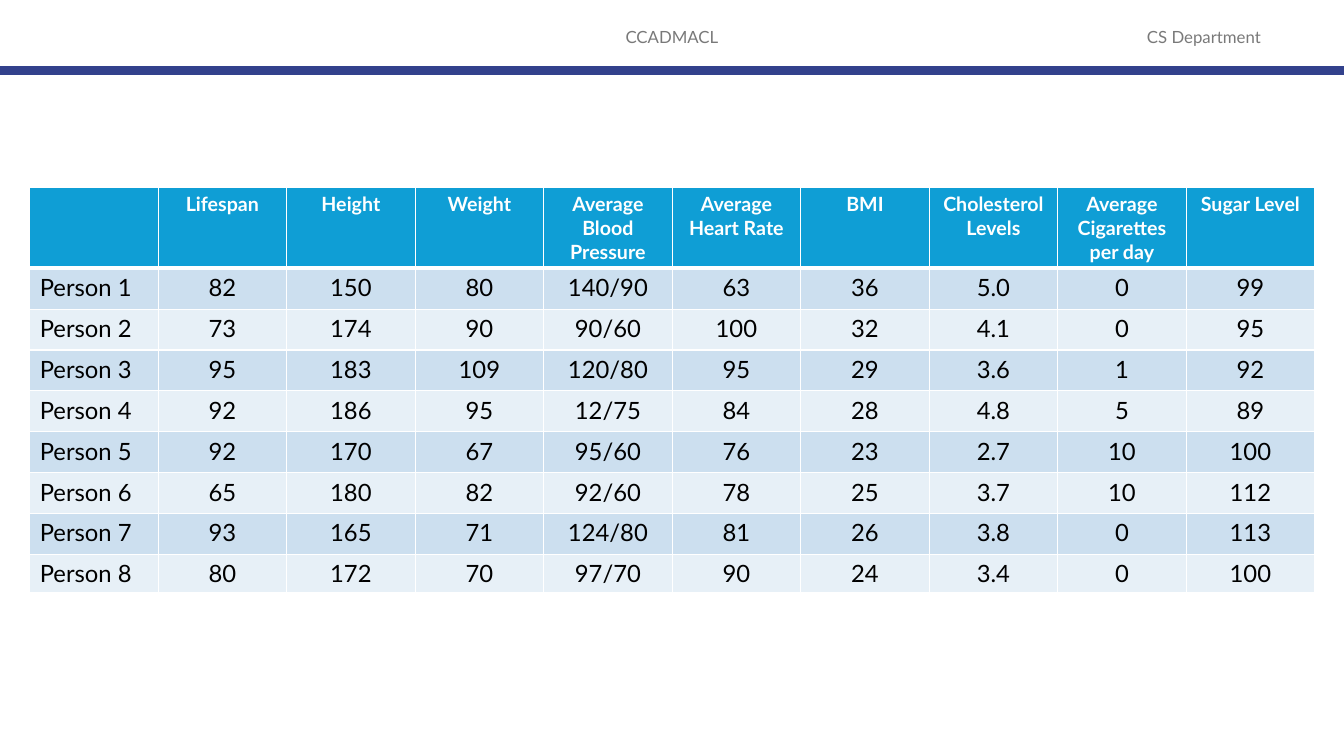
import pptx
import pptx.dml.color
import pptx.enum.shapes
import pptx.enum.text
import pptx.oxml
import pptx.oxml.ns
import pptx.util

Pt = pptx.util.Pt
ALIGN = pptx.enum.text.PP_ALIGN
FONT = "Lato"
HEADINGS = ["", "Lifespan", "Height", "Weight", "Average Blood Pressure",
            "Average Heart Rate", "BMI", "Cholesterol Levels",
            "Average Cigarettes per day", "Sugar Level"]
PEOPLE = [
    ["Person 1", "82", "150", "80", "140/90", "63", "36", "5.0", "0", "99"],
    ["Person 2", "73", "174", "90", "90/60", "100", "32", "4.1", "0", "95"],
    ["Person 3", "95", "183", "109", "120/80", "95", "29", "3.6", "1", "92"],
    ["Person 4", "92", "186", "95", "12/75", "84", "28", "4.8", "5", "89"],
    ["Person 5", "92", "170", "67", "95/60", "76", "23", "2.7", "10", "100"],
    ["Person 6", "65", "180", "82", "92/60", "78", "25", "3.7", "10", "112"],
    ["Person 7", "93", "165", "71", "124/80", "81", "26", "3.8", "0", "113"],
    ["Person 8", "80", "172", "70", "97/70", "90", "24", "3.4", "0", "100"],
]


def color(value):
    """Return the RGB colour for a hex string."""
    return pptx.dml.color.RGBColor.from_string(value)


def write(frame, text, size, ink, align, bold=False):
    """Put one formatted paragraph into a text frame."""
    para = frame.paragraphs[0]
    para.text = text
    para.alignment = align
    for span in para.runs:
        span.font.name = FONT
        span.font.size = Pt(size)
        span.font.bold = bold
        span.font.color.rgb = color(ink)


def add_label(page, box, text):
    """Add a centred grey header label in the given box."""
    label = page.shapes.add_textbox(*map(Pt, box))
    frame = label.text_frame
    frame.word_wrap = True
    frame.vertical_anchor = pptx.enum.text.MSO_ANCHOR.MIDDLE
    write(frame, text, 12, "797979", ALIGN.CENTER)


def add_header(page, box):
    """Add the two header labels and the rule along the bottom of the box."""
    left, top, width, height = box
    add_label(page, (left + 318, top + 12, 324, 29), "CCADMACL")
    add_label(page, (left + 786, top + 12, 148, 29), "CS Department")
    bottom = Pt(top + height)
    rule = page.shapes.add_connector(pptx.enum.shapes.MSO_CONNECTOR.STRAIGHT,
                                     Pt(left), bottom, Pt(left + width), bottom)
    rule.line.color.rgb = color("32418C")
    rule.line.width = Pt(6)
    effects = pptx.oxml.parse_xml(f"<a:effectLst {pptx.oxml.ns.nsdecls('a')}/>")
    rule.element.spPr.append(effects)


def set_borders(cell, top, bottom):
    """Draw white cell borders, with the given top and bottom widths."""
    properties = cell._tc.get_or_add_tcPr()
    for side, width in (("L", 1), ("R", 1), ("T", top), ("B", bottom)):
        properties.append(pptx.oxml.parse_xml(
            f'<a:ln{side} {pptx.oxml.ns.nsdecls("a")} w="{Pt(width)}">'
            f'<a:solidFill><a:srgbClr val="FFFFFF"/></a:solidFill></a:ln{side}>'))


def add_health_table(page, box):
    """Add the table of health figures, with a tall heading row, in the box."""
    rows = [HEADINGS] + PEOPLE
    left, top, width, height = box
    table = page.shapes.add_table(len(rows), len(HEADINGS), *map(Pt, box)).table
    for column in table.columns:
        column.width = Pt(width / len(HEADINGS))
    heading_height, last_height = 57.6, 27.6
    middle_height = (height - heading_height - last_height) / (len(rows) - 2)
    heights = [heading_height] + [middle_height] * (len(rows) - 2) + [last_height]
    for r, values in enumerate(rows):
        table.rows[r].height = Pt(heights[r])
        heading = r == 0
        fill = "0F9ED5" if heading else ("E7F0F7", "CCDFEF")[r % 2]
        for c, value in enumerate(values):
            cell = table.cell(r, c)
            set_borders(cell, 3 if r == 1 else 1, 3 if heading else 1)
            cell.fill.solid()
            cell.fill.fore_color.rgb = color(fill)
            align = ALIGN.LEFT if c == 0 else ALIGN.CENTER
            if heading:
                write(cell.text_frame, value, 14, "FFFFFF", align, True)
            else:
                write(cell.text_frame, value, 17, "000000", align)


def main():
    """Build and save the slide."""
    deck = pptx.Presentation()
    deck.slide_width, deck.slide_height = Pt(960), Pt(540)
    page = deck.slides.add_slide(deck.slide_layouts[6])
    add_header(page, (0, 0, 960, 50.5))
    add_health_table(page, (21.2, 134, 918, 289.4))
    deck.save("out.pptx")


if __name__ == "__main__":
    main()
